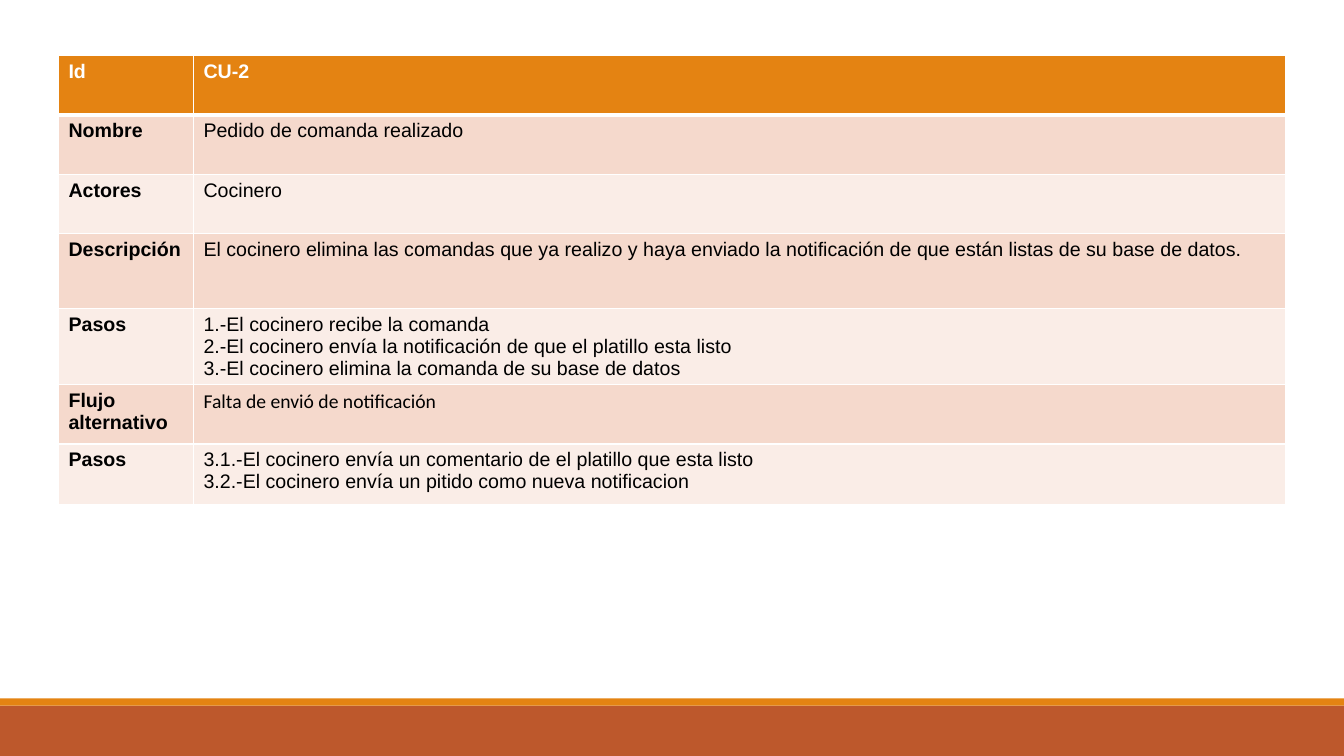
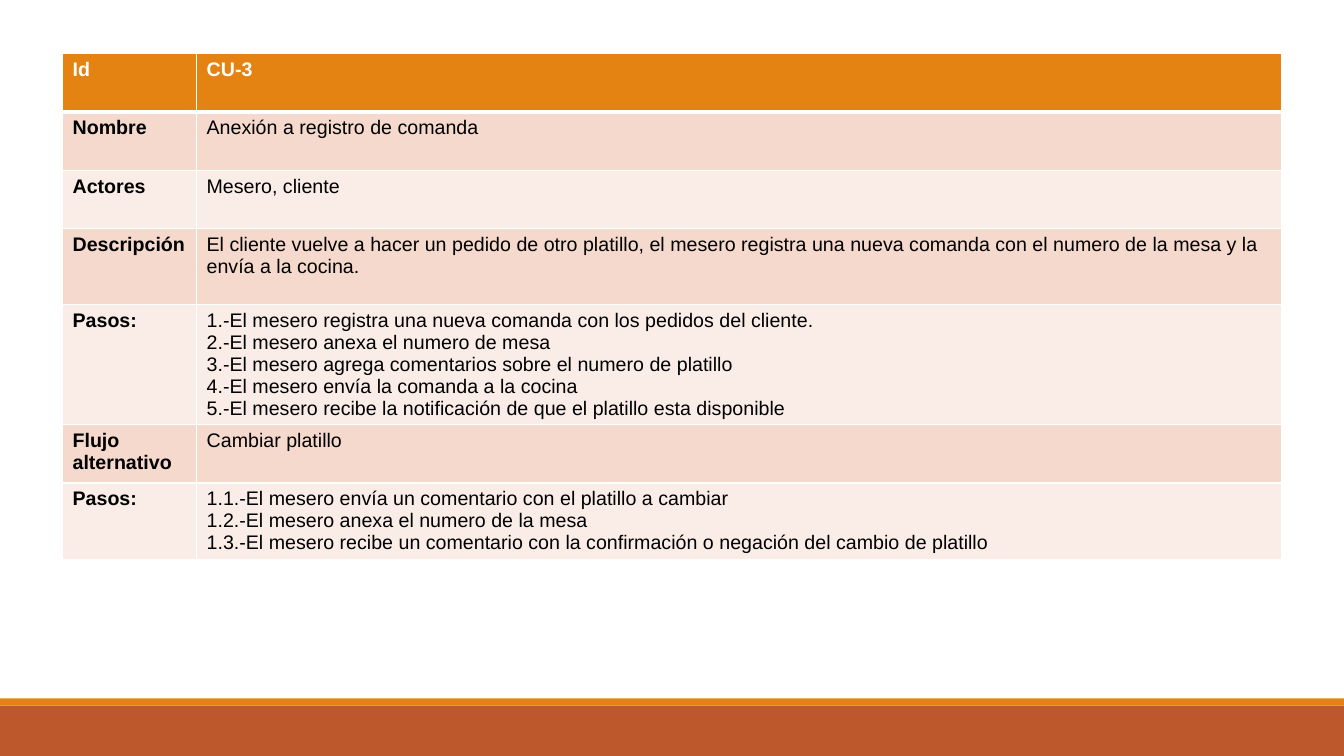
import pptx
import pptx.dml.color
import pptx.enum.shapes
import pptx.oxml
import pptx.oxml.ns
import pptx.util

WIDTH, HEIGHT = pptx.util.Inches(13.33), pptx.util.Inches(7.5)
COLORS = {
    "header": "E48312",
    "footer": "BD582C",
    "odd": "F5D9CC",
    "even": "FAEDE7",
    "border": "FFFFFF",
    "header_text": "FFFFFF",
    "text": "000000",
}
FONT, ALT_FONT, SIZE = "Arial", "Calibri", 14
LABEL_SHARE = 0.11
BANDS = [("footer", 7, 0.5), ("header", 6.93, 0.07)]

USE_CASES = [
    {
        "box": (0.58, 0.55, 12.17),
        "heights": [0.59, 0.59, 0.59, 0.74, 0.75, 0.59, 0.6],
        "fonts": {5: ALT_FONT},
        "rows": [
            ("Id", "CU-2"),
            ("Nombre", "Pedido de comanda realizado"),
            ("Actores", "Cocinero"),
            ("Descripción", "El cocinero elimina las comandas que ya realizo y haya enviado "
                            "la notificación de que están listas de su base de datos."),
            ("Pasos", "1.-El cocinero recibe la comanda\n"
                      "2.-El cocinero envía la notificación de que el platillo esta listo\n"
                      "3.-El cocinero elimina la comanda de su base de datos"),
            ("Flujo alternativo", "Falta de envió de notificación"),
            ("Pasos", "3.1.-El cocinero envía un comentario de el platillo que esta listo\n"
                      "3.2.-El cocinero envía un pitido como nueva notificacion"),
        ],
    },
    {
        "box": (0.62, 0.53, 12.09),
        "heights": [0.58, 0.58, 0.58, 0.75, 1.19, 0.58, 0.75],
        "fonts": {},
        "rows": [
            ("Id", "CU-3"),
            ("Nombre", "Anexión a registro de comanda"),
            ("Actores", "Mesero, cliente"),
            ("Descripción", "El cliente vuelve a hacer un pedido de otro platillo, el mesero "
                            "registra una nueva comanda con el numero de la mesa y la envía "
                            "a la cocina."),
            ("Pasos:", "1.-El mesero registra una nueva comanda con los pedidos del cliente.\n"
                       "2.-El mesero anexa el numero de mesa\n"
                       "3.-El mesero agrega comentarios sobre el numero de platillo\n"
                       "4.-El mesero envía la comanda a la cocina\n"
                       "5.-El mesero recibe la notificación de que el platillo esta disponible"),
            ("Flujo alternativo", "Cambiar platillo"),
            ("Pasos:", "1.1.-El mesero envía un comentario con el platillo a cambiar\n"
                       "1.2.-El mesero anexa el numero de la mesa\n"
                       "1.3.-El mesero recibe un comentario con la confirmación o negación "
                       "del cambio de platillo"),
        ],
    },
]


def rgb(name):
    """Return the named palette colour."""
    return pptx.dml.color.RGBColor.from_string(COLORS[name])


def add_footer(s):
    """Draw the two bands across the foot of the slide."""
    for color, top, height in BANDS:
        sp = s.shapes.add_shape(pptx.enum.shapes.MSO_SHAPE.RECTANGLE, 0,
                                pptx.util.Inches(top), WIDTH, pptx.util.Inches(height))
        sp.shadow.inherit = False
        sp.fill.solid()
        sp.fill.fore_color.rgb = rgb(color)
        sp.line.fill.background()


def set_borders(cell, row):
    """Outline a cell, with a heavier rule under the header row."""
    tcPr = cell._tc.get_or_add_tcPr()
    widths = {"lnL": 1, "lnR": 1, "lnT": 3 if row == 1 else 1, "lnB": 3 if row == 0 else 1}
    for tag, width in widths.items():
        tcPr.append(pptx.oxml.parse_xml(
            f'<a:{tag} {pptx.oxml.ns.nsdecls("a")} w="{pptx.util.Pt(width)}">'
            f'<a:solidFill><a:srgbClr val="{COLORS["border"]}"/></a:solidFill></a:{tag}>'))


def fill_cell(cell, text, row, bold, font):
    """Write and style one table cell according to its row."""
    set_borders(cell, row)
    cell.fill.solid()
    cell.fill.fore_color.rgb = rgb("header" if row == 0 else "odd" if row % 2 else "even")
    cell.text_frame.text = text
    for p in cell.text_frame.paragraphs:
        for r in p.runs:
            r.font.name = font
            r.font.size = pptx.util.Pt(SIZE)
            r.font.bold = bold
            r.font.color.rgb = rgb("text" if row else "header_text")


def add_use_case(s, box, heights, fonts, rows):
    """Place a use-case table of labels and values in its box."""
    left, top, width = (pptx.util.Inches(v) for v in box)
    table = s.shapes.add_table(len(rows), 2, left, top, width,
                               pptx.util.Inches(sum(heights))).table
    table.columns[0].width = int(width * LABEL_SHARE)
    table.columns[1].width = width - table.columns[0].width
    for i, (label, value) in enumerate(rows):
        table.rows[i].height = pptx.util.Inches(heights[i])
        fill_cell(table.cell(i, 0), label, i, True, FONT)
        fill_cell(table.cell(i, 1), value, i, i == 0, fonts.get(i, FONT))


def main():
    """Build and save the presentation."""
    prs = pptx.Presentation()
    prs.slide_width, prs.slide_height = WIDTH, HEIGHT
    for use_case in USE_CASES:
        s = prs.slides.add_slide(prs.slide_layouts[6])
        add_footer(s)
        add_use_case(s, **use_case)
    prs.save("out.pptx")


if __name__ == "__main__":
    main()
